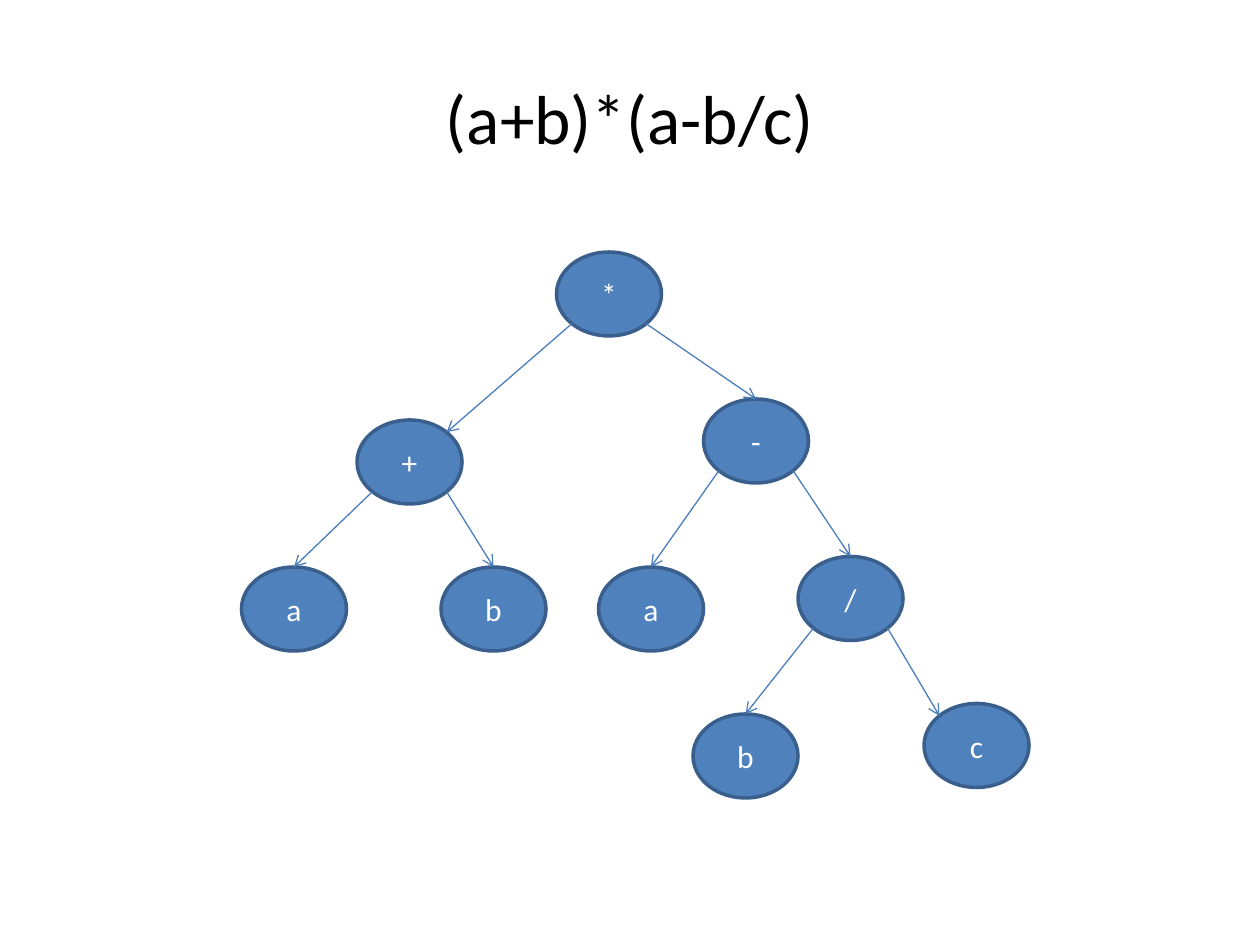
from dataclasses import dataclass
from enum import Enum
from math import sqrt

from lxml.etree import SubElement
from pptx import Presentation
from pptx.dml.color import RGBColor
from pptx.enum.shapes import MSO_CONNECTOR, MSO_SHAPE
from pptx.enum.text import MSO_ANCHOR, PP_ALIGN
from pptx.oxml.ns import qn
from pptx.util import Pt


@dataclass(frozen=True)
class Theme:
    font: str = "Calibri"
    title_size: float = 39.6
    symbol_size: float = 18
    title_color: str = "000000"
    symbol_color: str = "FFFFFF"
    node_fill: str = "4F81BD"
    node_line: str = "3A5F8C"
    branch_line: str = "4B7EBC"
    node_weight: float = 2
    branch_weight: float = 0.75


class Entry(Enum):
    TOP_LEFT = -1
    TOP = 0
    TOP_RIGHT = 1


@dataclass(frozen=True)
class Node:
    symbol: str
    left: float
    top: float
    operands: tuple["Node", ...] = ()
    entry: Entry = Entry.TOP


THEME = Theme()
NODE_WIDTH, NODE_HEIGHT = 60, 48

SUM = Node("+", 204, 240, (Node("a", 138, 324), Node("b", 252, 324)), Entry.TOP_RIGHT)
QUOTIENT = Node("/", 456, 318, (Node("b", 396, 408), Node("c", 528, 402, entry=Entry.TOP_LEFT)))
DIFFERENCE = Node("-", 402, 228, (Node("a", 342, 324), QUOTIENT))
PRODUCT = Node("*", 318, 144, (SUM, DIFFERENCE))


def apply_format(target, values: dict) -> None:
    for attribute, value in values.items():
        setattr(target, attribute, value)


def write_text(frame, text: str, size: float, color: str) -> None:
    frame.text = text
    apply_format(frame, {"word_wrap": True, "vertical_anchor": MSO_ANCHOR.MIDDLE})
    paragraph = frame.paragraphs[0]
    paragraph.alignment = PP_ALIGN.CENTER
    apply_format(paragraph.font, {"name": THEME.font, "size": Pt(size)})
    paragraph.font.color.rgb = RGBColor.from_string(color)


def set_line(line, color: str, weight: float) -> None:
    line.color.rgb = RGBColor.from_string(color)
    line.width = Pt(weight)


def diagonal_point(node: Node, across: int, down: int) -> tuple[float, float]:
    return (
        node.left + NODE_WIDTH / 2 * (1 + across / sqrt(2)),
        node.top + NODE_HEIGHT / 2 * (1 + down / sqrt(2)),
    )


def draw_node(slide, node: Node):
    ellipse = slide.shapes.add_shape(
        MSO_SHAPE.OVAL, Pt(node.left), Pt(node.top), Pt(NODE_WIDTH), Pt(NODE_HEIGHT)
    )
    ellipse.shadow.inherit = False
    ellipse.fill.solid()
    ellipse.fill.fore_color.rgb = RGBColor.from_string(THEME.node_fill)
    set_line(ellipse.line, THEME.node_line, THEME.node_weight)
    write_text(ellipse.text_frame, node.symbol, THEME.symbol_size, THEME.symbol_color)
    return ellipse


def draw_branch(slide, parent: Node, child: Node, side: int, child_ellipse) -> None:
    start = diagonal_point(parent, side, 1)
    end = diagonal_point(child, child.entry.value, -1)
    branch = slide.shapes.add_connector(
        MSO_CONNECTOR.STRAIGHT, *(Pt(length) for length in (*start, *end))
    )
    if child.entry is Entry.TOP:
        branch.end_connect(child_ellipse, 0)
    set_line(branch.line, THEME.branch_line, THEME.branch_weight)
    SubElement(branch.line._get_or_add_ln(), qn("a:tailEnd"), type="arrow")
    SubElement(branch._element.spPr, qn("a:effectLst"))


def draw_tree(slide, node: Node):
    ellipse = draw_node(slide, node)
    for side, operand in zip((-1, 1), node.operands):
        operand_ellipse = draw_tree(slide, operand)
        draw_branch(slide, node, operand, side, operand_ellipse)
    return ellipse


def main() -> None:
    presentation = Presentation()
    apply_format(presentation, {"slide_width": Pt(720), "slide_height": Pt(540)})
    slide = presentation.slides.add_slide(presentation.slide_layouts[5])
    title = slide.shapes.title
    apply_format(
        title, {"left": Pt(36), "top": Pt(21.6), "width": Pt(648), "height": Pt(90)}
    )
    write_text(title.text_frame, "(a+b)*(a-b/c)", THEME.title_size, THEME.title_color)
    draw_tree(slide, PRODUCT)
    presentation.save("out.pptx")


if __name__ == "__main__":
    main()
